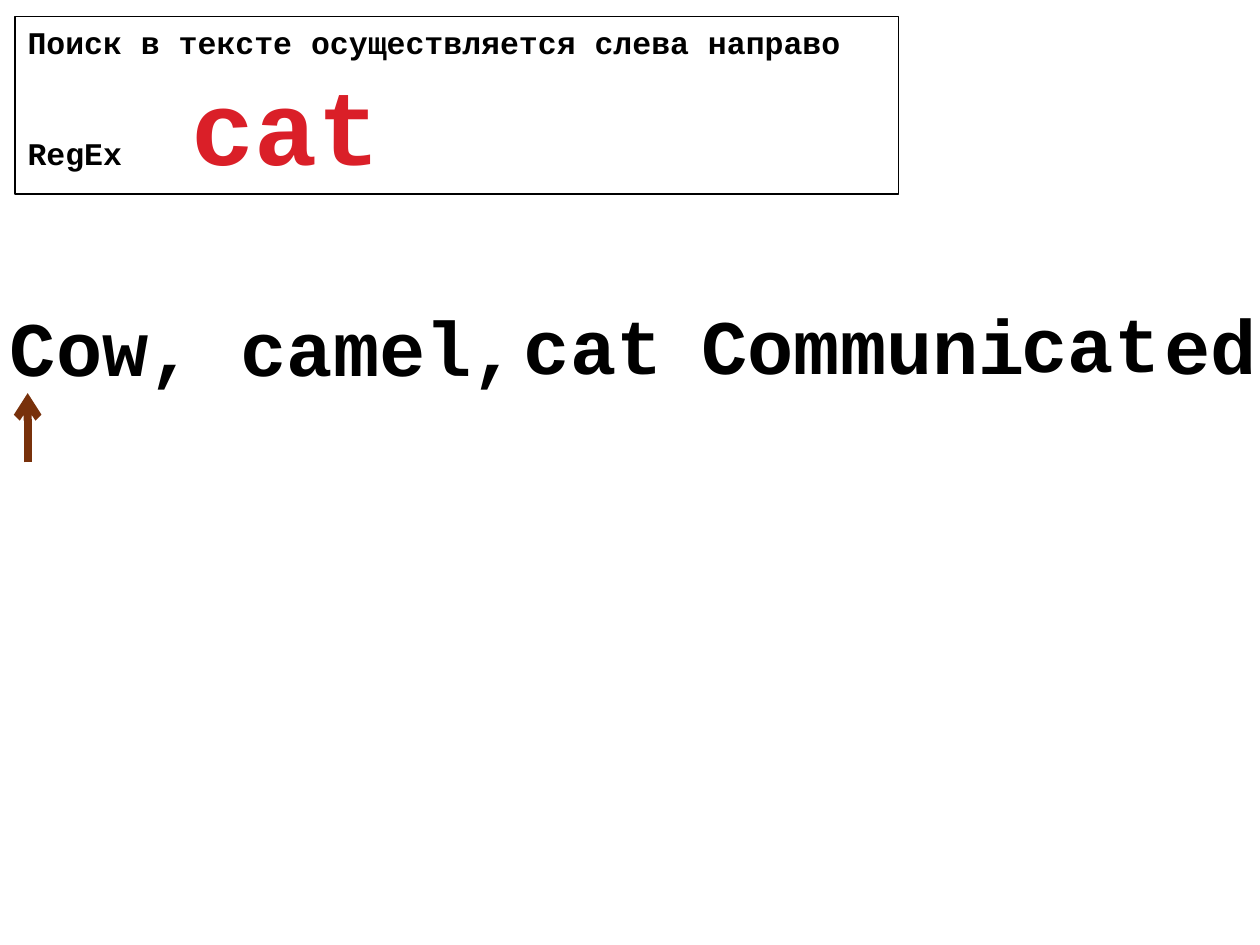
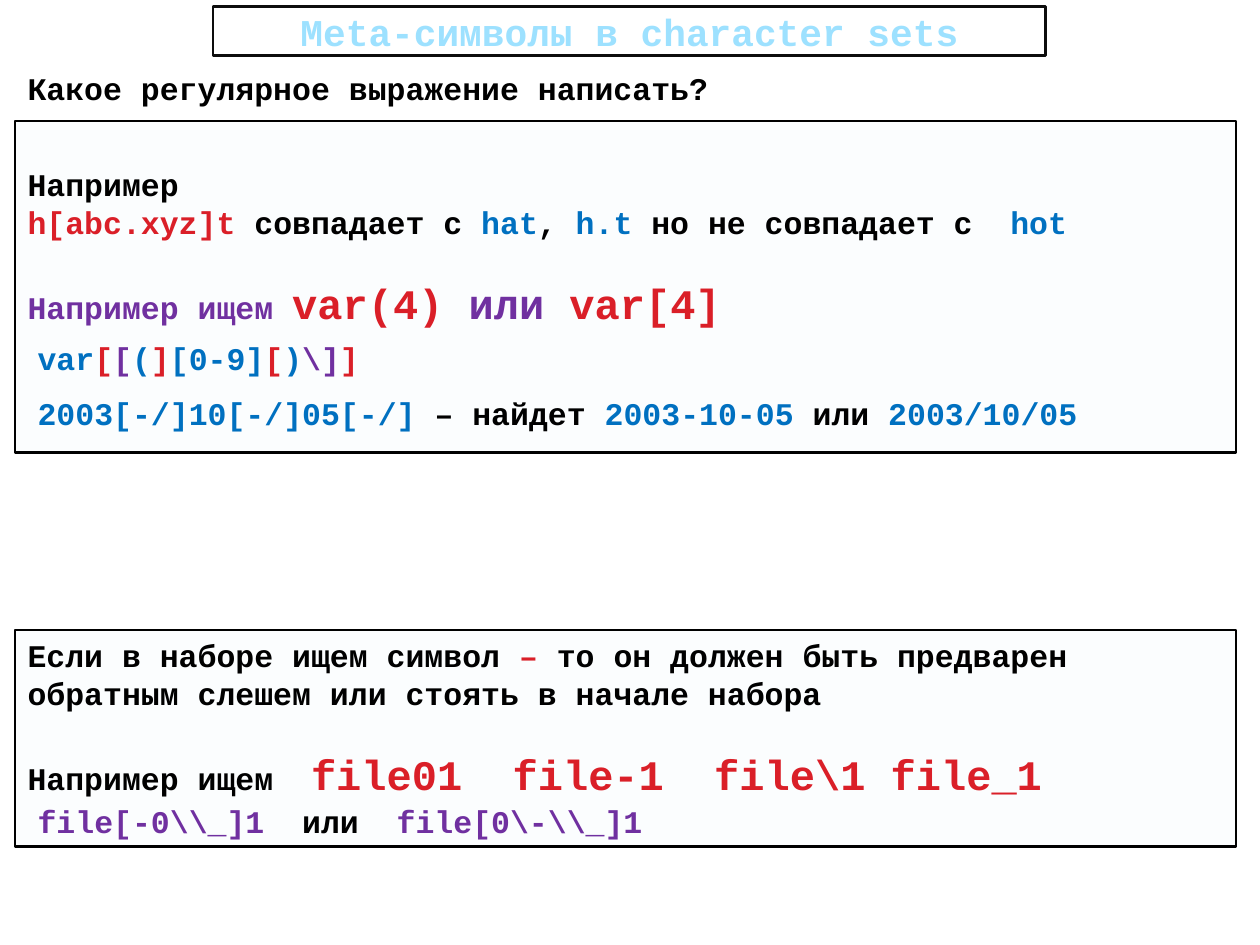
from dataclasses import dataclass

from lxml import etree
from pptx import Presentation
from pptx.dml.color import RGBColor
from pptx.enum.shapes import MSO_CONNECTOR, MSO_SHAPE
from pptx.enum.text import MSO_ANCHOR, PP_ALIGN
from pptx.oxml.ns import qn
from pptx.util import Emu, Pt

RECT = MSO_SHAPE.RECTANGLE
STRAIGHT = MSO_CONNECTOR.STRAIGHT
TOP, MIDDLE = MSO_ANCHOR.TOP, MSO_ANCHOR.MIDDLE
LEFT, CENTER = PP_ALIGN.LEFT, PP_ALIGN.CENTER
PX = 9144  # 100 px to the inch


@dataclass(frozen=True)
class Theme:
    font: str = "Courier New"
    black: str = "000000"
    white: str = "FFFFFF"
    red: str = "DA1F28"
    blue: str = "0070C0"
    violet: str = "7030A0"
    brown: str = "78310B"
    title_text: str = "9DE1FF"
    title_line: str = "0D0D0D"
    panel: str = "D3EEF5"
    panel_alpha: int = 8
    body: float = 18
    title: float = 21.6
    accent: float = 24
    sample: float = 44
    pattern: float = 60
    blank_line: float = 21


T = Theme()


@dataclass
class Para:
    """Runs are (text, colour, size); gap is in points, tabs in px."""
    runs: list
    gap: float = 0
    tabs: tuple = ()
    align: int = LEFT


def black(text, size=T.body):
    return text, T.black, size


def red(text, size=T.body):
    return text, T.red, size


def blue(text):
    return text, T.blue, T.body


def violet(text, size=T.body):
    return text, T.violet, size


class Deck:
    def __init__(self, width, height):
        self.prs = Presentation()
        self.prs.slide_width = Emu(width * PX)
        self.prs.slide_height = Emu(height * PX)
        self.s = None

    def slide(self):
        self.s = self.prs.slides.add_slide(self.prs.slide_layouts[6])

    def add_paras(self, sp, paras, anchor=TOP, top_inset=5):
        tf = sp.text_frame
        tf.word_wrap = True
        tf.vertical_anchor = anchor
        tf.margin_top = Emu(top_inset * PX)
        for i, para in enumerate(paras):
            p = tf.add_paragraph() if i else tf.paragraphs[0]
            p.alignment = para.align
            if para.gap:
                p.space_before = Pt(para.gap)
            if para.tabs:
                tabs = etree.SubElement(p._p.get_or_add_pPr(), qn("a:tabLst"))
                for pos in para.tabs:
                    etree.SubElement(tabs, qn("a:tab"), pos=str(pos * PX), algn="l")
            for text, color, size in para.runs:
                r = p.add_run()
                r.text = text
                r.font.name = T.font
                r.font.size = Pt(size)
                r.font.bold = True
                r.font.color.rgb = RGBColor.from_string(color)

    def text(self, box, runs, tabs=()):
        sp = self.s.shapes.add_textbox(*(Emu(v * PX) for v in box))
        self.add_paras(sp, [Para(runs, tabs=tabs)])

    def frame(self, box, paras, line=T.black, weight=1.5, fill=None, alpha=None, **layout):
        sp = self.s.shapes.add_shape(RECT, *(Emu(v * PX) for v in box))
        sp.shadow.inherit = False
        sp.line.color.rgb = RGBColor.from_string(line)
        sp.line.width = Pt(weight)
        if fill:
            sp.fill.solid()
            sp.fill.fore_color.rgb = RGBColor.from_string(fill)
        else:
            sp.fill.background()
        if alpha:
            color = sp._element.spPr.find(f"{qn('a:solidFill')}/{qn('a:srgbClr')}")
            etree.SubElement(color, qn("a:alpha"), val=str(alpha * 1000))
        self.add_paras(sp, paras, **layout)

    def title(self, text):
        self.frame((169, 5, 661, 39), [Para([(text, T.title_text, T.title)], align=CENTER)],
                   line=T.title_line, fill=T.white, anchor=MIDDLE)

    def panel(self, top, height, paras, **layout):
        self.frame((12, top, 969, height), paras, fill=T.panel, alpha=T.panel_alpha, **layout)

    def arrow(self, x1, y1, x2, y2):
        cx = self.s.shapes.add_connector(STRAIGHT, *(Emu(v * PX) for v in (x1, y1, x2, y2)))
        cx.line.color.rgb = RGBColor.from_string(T.brown)
        cx.line.width = Pt(4.5)
        props = cx._element.spPr
        etree.SubElement(props.find(qn("a:ln")), qn("a:tailEnd"), type="arrow")
        etree.SubElement(props, qn("a:effectLst"))


def search_slide(deck):
    deck.slide()
    deck.frame((12, 13, 701, 141), [
        Para([black("Поиск в тексте осуществляется слева направо")]),
        Para([black("RegEx\t"), red("cat", T.pattern)], tabs=(130,)),
    ], weight=0.75)
    deck.text((-2, 233, 427, 84), [black("Сow, camel,", T.sample)])
    deck.text((406, 231, 131, 84), [black("cat", T.sample)])
    deck.text((547, 231, 464, 84), [black("Communi\ted", T.sample)], tabs=(367,))
    deck.arrow(22, 367, 22, 312)
    deck.text((801, 230, 131, 84), [black("cat", T.sample)])


def character_sets_slide(deck):
    deck.slide()
    deck.title("Meta-символы в сharacter sets")
    deck.panel(96, 263, [
        Para([black("Например")]),
        Para([red("h[abc.xyz]t "), black("совпадает с "), blue("hat"), black(", "),
              blue("h.t "), black("но не совпадает с\t"), blue("hot")], tabs=(780,)),
        Para([violet("Например ищем "), red("var(4) ", T.accent),
              violet("или ", T.accent), red("var[4]", T.accent)], gap=T.blank_line),
    ], top_inset=35)
    deck.panel(500, 172, [
        Para([black("Если в наборе ищем символ "), red("–"),
              black(" то он должен быть предварен обратным слешем или стоять в начале набора")]),
        Para([black("Например ищем\t"), red("file01\tfile-1\tfile\\1 file_1", T.accent)],
             gap=T.blank_line, tabs=(225, 385, 545)),
    ])
    deck.text((12, 50, 578, 40), [black("Какое регулярное выражение написать?")])
    deck.text((20, 264, 636, 40), [
        blue("var"), red("["), violet("["), blue("("), red("]"), blue("[0-9]"),
        red("["), blue(")"), violet("\\]"), red("]")])
    deck.text((20, 308, 896, 40), [
        blue("2003[-/]10[-/]05[-/]"), black(" – найдет "), blue("2003-10-05 "),
        black("или "), blue("2003/10/05")])
    deck.text((20, 632, 503, 40), [
        violet("file[-0\\\\_]1"), black("\tили\t"), violet("file[0\\-\\\\_]1")], tabs=(210, 285))


def main():
    deck = Deck(1000, 750)
    search_slide(deck)
    character_sets_slide(deck)
    deck.prs.save("out.pptx")


if __name__ == "__main__":
    main()
